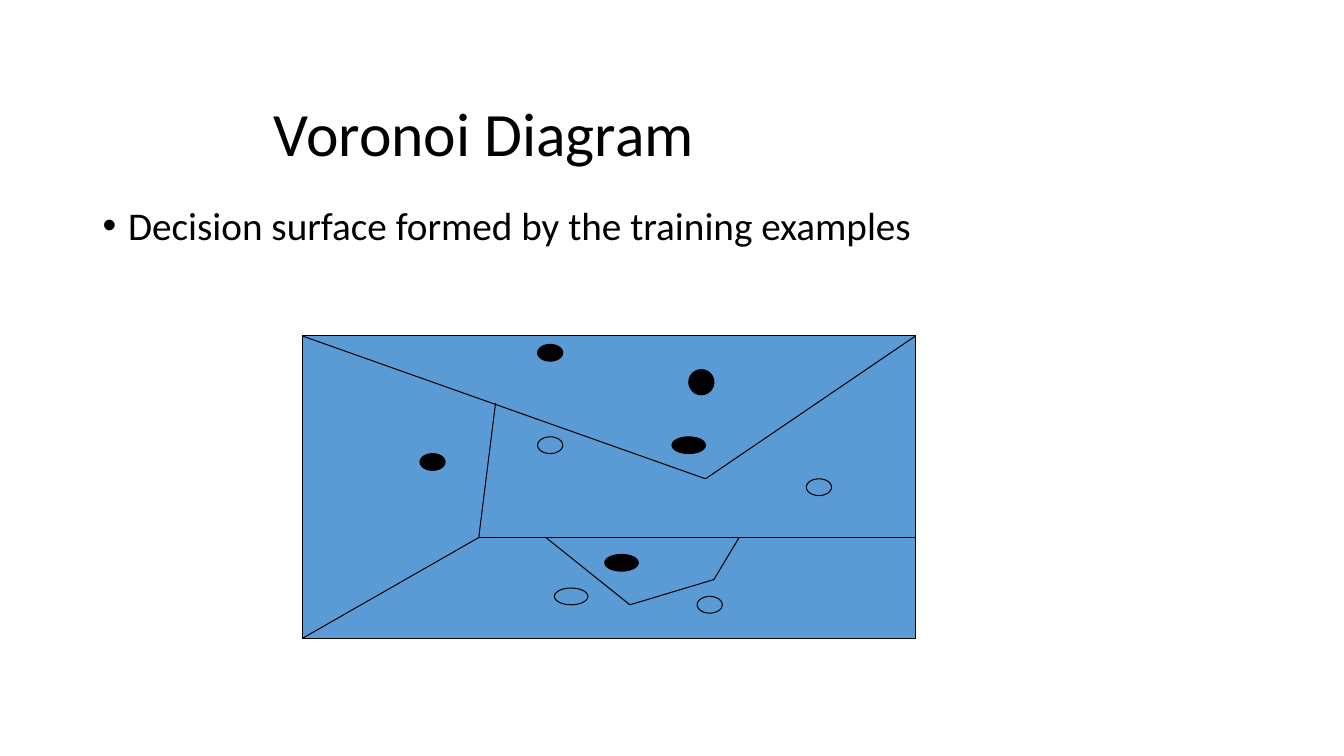
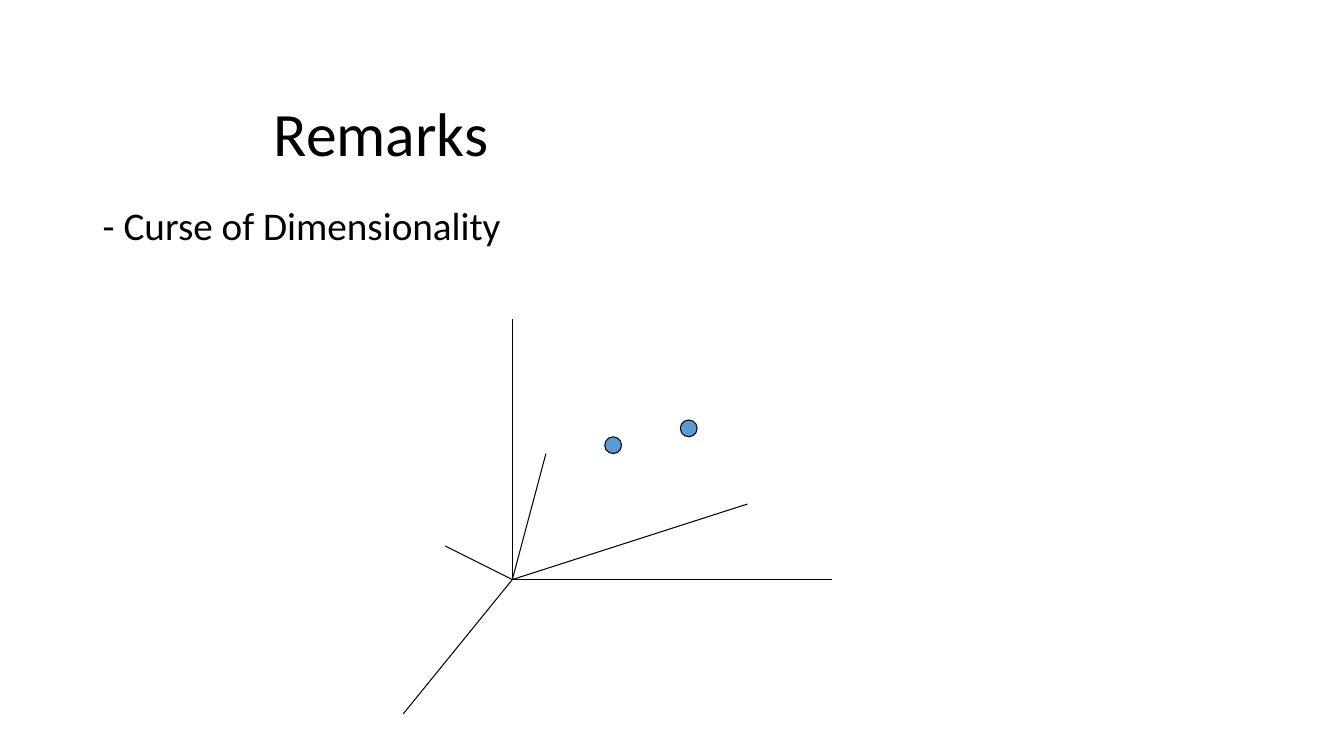
import itertools

import pptx
import pptx.dml.color
import pptx.enum.shapes
import pptx.enum.text
import pptx.oxml.ns
import pptx.util
from lxml import etree

Cm = pptx.util.Cm
Pt = pptx.util.Pt
SHAPES = pptx.enum.shapes.MSO_SHAPE

# Shared style
BLACK = pptx.dml.color.RGBColor(0x00, 0x00, 0x00)
BLUE = pptx.dml.color.RGBColor(0x5B, 0x9B, 0xD5)
FONT = "Calibri"
LINE_WIDTH = Pt(0.75)
TITLE_BOX = (Cm(6.65), Cm(2.39), Cm(22.68), Cm(2.11))
BODY_BOX = (Cm(2.34), Cm(5.08), Cm(29.21), Cm(12.09))
HANGING_INDENT = Cm(0.64)

# Voronoi diagram, in grid units: left, top, width, height
SURFACE = (36, 40, 73, 36)
POSITIVE_EXAMPLES = [(50, 54, 3, 2), (64, 41, 3, 2), (82, 44, 3, 3),
                     (80, 52, 4, 2), (72, 66, 4, 2)]
NEGATIVE_EXAMPLES = [(66, 70, 4, 2), (96, 57, 3, 2), (64, 52, 3, 2), (83, 71, 3, 2)]
BOUNDARIES = [
    [(36, 40), (84, 57), (109, 40)],
    [(59, 48), (57, 64), (36, 76)],
    [(57, 64), (109, 64)],
    [(65, 64), (75, 72), (85, 69), (88, 64)],
]

# Axes of the high-dimensional space, in grid units
ORIGIN = (61, 69)
AXIS_ENDS = [(61, 38), (99, 69), (48, 85), (53, 65), (65, 54), (89, 60)]
SPACE_POINTS = [(72, 52, 2, 2), (81, 50, 2, 2)]


def grid(units):
    """Length of a number of grid units, twelve to the inch."""
    return Cm(2.54 * units / 12)


def add_text(slide, box, text, size):
    frame = slide.shapes.add_textbox(*box).text_frame
    frame.word_wrap = True
    paragraph = frame.paragraphs[0]
    paragraph.text = text
    paragraph.line_spacing = 0.9
    paragraph.font.name = FONT
    paragraph.font.size = Pt(size)
    paragraph.font.color.rgb = BLACK
    return frame


def add_title(slide, text):
    frame = add_text(slide, TITLE_BOX, text, 44)
    frame.vertical_anchor = pptx.enum.text.MSO_ANCHOR.MIDDLE


def add_body(slide, text, bullet=None):
    paragraph = add_text(slide, BODY_BOX, text, 28).paragraphs[0]
    paragraph.space_before = Pt(10)
    properties = paragraph._p.get_or_add_pPr()
    properties.set("marL", str(HANGING_INDENT))
    properties.set("indent", str(-HANGING_INDENT))
    if bullet:
        font = etree.SubElement(properties, pptx.oxml.ns.qn("a:buFont"))
        font.set("typeface", "Arial")
        character = etree.SubElement(properties, pptx.oxml.ns.qn("a:buChar"))
        character.set("char", bullet)


def add_figure(slide, kind, box, fill):
    shape = slide.shapes.add_shape(kind, *map(grid, box))
    shape.shadow.inherit = False
    shape.fill.solid()
    shape.fill.fore_color.rgb = fill
    shape.line.color.rgb = BLACK
    shape.line.width = LINE_WIDTH


def add_dots(slide, boxes, fill):
    for box in boxes:
        add_figure(slide, SHAPES.OVAL, box, fill)


def add_line(slide, start, end):
    connector = slide.shapes.add_connector(
        pptx.enum.shapes.MSO_CONNECTOR.STRAIGHT, *map(grid, start + end))
    connector.line.color.rgb = BLACK
    connector.line.width = LINE_WIDTH
    etree.SubElement(connector._element.spPr, pptx.oxml.ns.qn("a:effectLst"))


def add_slide(presentation, title):
    slide = presentation.slides.add_slide(presentation.slide_layouts[6])
    add_title(slide, title)
    return slide


def build_voronoi(presentation):
    slide = add_slide(presentation, "Voronoi Diagram")
    add_body(slide, "Decision surface formed by the training examples", "•")
    add_figure(slide, SHAPES.RECTANGLE, SURFACE, BLUE)
    add_dots(slide, POSITIVE_EXAMPLES, BLACK)
    add_dots(slide, NEGATIVE_EXAMPLES, BLUE)
    for boundary in BOUNDARIES:
        for start, end in itertools.pairwise(boundary):
            add_line(slide, start, end)


def build_remarks(presentation):
    slide = add_slide(presentation, "Remarks")
    add_body(slide, "- Curse of Dimensionality")
    for end in AXIS_ENDS:
        add_line(slide, ORIGIN, end)
    add_dots(slide, SPACE_POINTS, BLUE)


def main():
    presentation = pptx.Presentation()
    presentation.slide_width = Cm(33.87)
    presentation.slide_height = Cm(19.05)
    build_voronoi(presentation)
    build_remarks(presentation)
    presentation.save("out.pptx")


if __name__ == "__main__":
    main()
